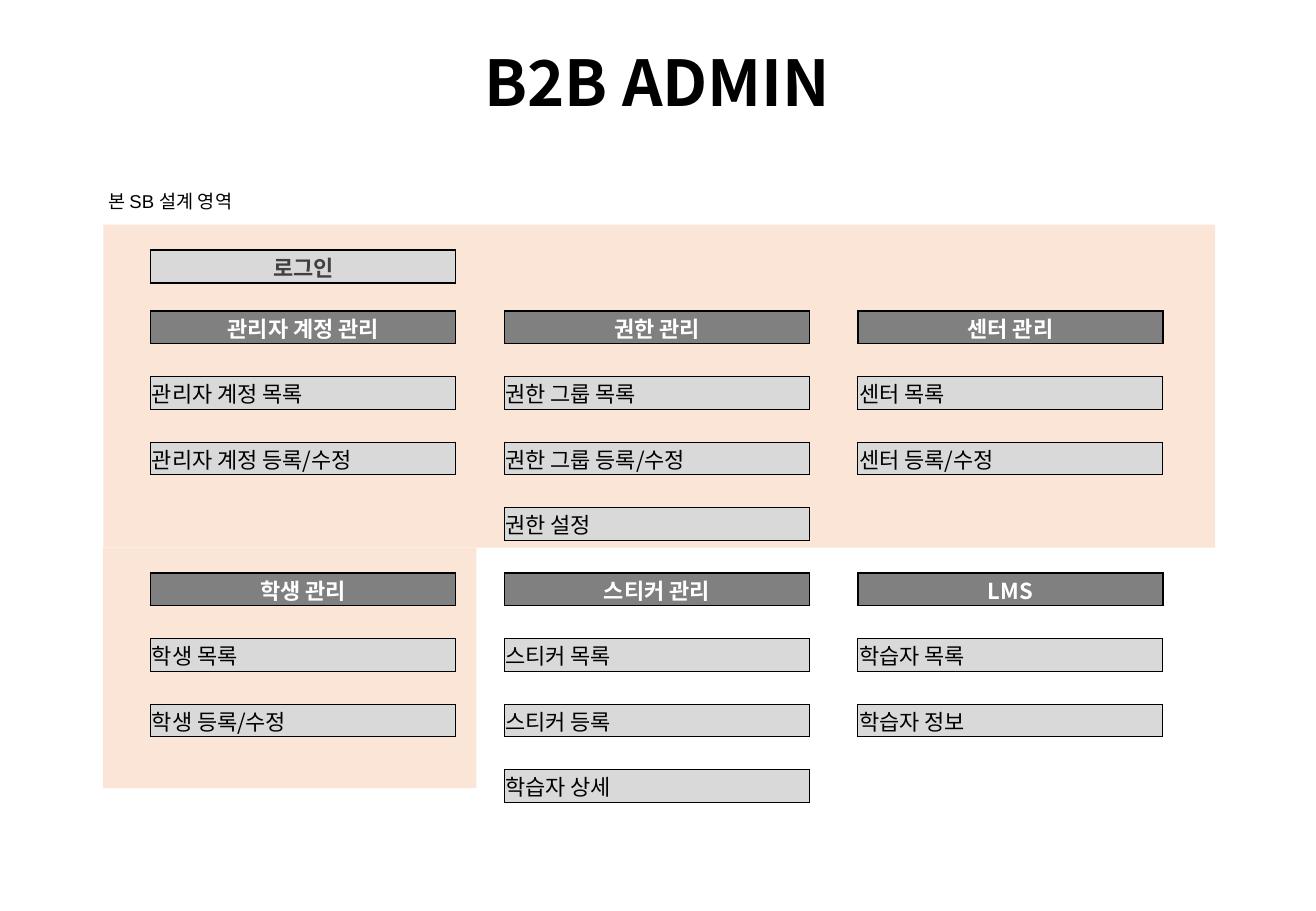
from dataclasses import dataclass

from lxml.etree import SubElement
from pptx import Presentation
from pptx.dml.color import RGBColor
from pptx.enum.shapes import MSO_SHAPE
from pptx.enum.text import MSO_ANCHOR, PP_ALIGN
from pptx.oxml.ns import qn
from pptx.util import Inches, Pt

RECT = MSO_SHAPE.RECTANGLE
MIDDLE, TOP = MSO_ANCHOR.MIDDLE, MSO_ANCHOR.TOP
LEFT, CENTER = PP_ALIGN.LEFT, PP_ALIGN.CENTER
PLAIN_TABLE = "{2D5ABB26-0587-4C30-8999-92F81FD0307C}"


@dataclass(frozen=True)
class Theme:
    font: str = "Noto Sans CJK KR"
    caption_font: str = "Arial"
    black: str = "000000"
    white: str = "FFFFFF"
    dark: str = "404040"
    header: str = "808080"
    item: str = "D9D9D9"
    area: str = "FBE5D6"
    title_size: float = 37.5
    menu_size: float = 13
    caption_size: float = 11
    gap_size: float = 6


class SlideBuilder:
    def __init__(self, slide, theme):
        self.slide = slide
        self.theme = theme

    def style(self, p, size, color, bold=False, align=LEFT, font=None):
        p.alignment = align
        p.font.size = Pt(size)
        p.font.bold = bold
        p.font.color.rgb = RGBColor.from_string(color)
        p.font.name = font or self.theme.font
        SubElement(p.font._rPr, qn("a:ea"), typeface=self.theme.font)

    def area(self, x, y, w, h):
        sp = self.slide.shapes.add_shape(RECT, Inches(x), Inches(y), Inches(w), Inches(h))
        sp.shadow.inherit = False
        sp.fill.solid()
        sp.fill.fore_color.rgb = RGBColor.from_string(self.theme.area)
        sp.line.fill.background()

    def text(self, x, y, w, h, text, size, inset, anchor, **style):
        sp = self.slide.shapes.add_textbox(Inches(x), Inches(y), Inches(w), Inches(h))
        tf = sp.text_frame
        tf.word_wrap = True
        tf.vertical_anchor = anchor
        tf.margin_left = tf.margin_right = tf.margin_top = tf.margin_bottom = Inches(inset)
        tf.text = text
        self.style(tf.paragraphs[0], size, self.theme.black, **style)

    def table(self, x, y, widths, heights):
        frame = self.slide.shapes.add_table(
            len(heights), len(widths), Inches(x), Inches(y),
            Inches(sum(widths)), Inches(sum(heights)))
        table = frame.table
        table.first_row = table.horz_banding = False
        table._tbl.tblPr.find(qn("a:tableStyleId")).text = PLAIN_TABLE
        for column, width in zip(table.columns, widths):
            column.width = Inches(width)
        for row, height in zip(table.rows, heights):
            row.height = Inches(height)
        for cell in table.iter_cells():
            cell.margin_left = cell.margin_right = cell.margin_top = Inches(0.01)
            cell.margin_bottom = 0
            cell.vertical_anchor = MIDDLE
            self.style(cell.text_frame.paragraphs[0], self.theme.gap_size, self.theme.black)
        return table

    def menu_cell(self, cell, text, fill, color, header=False):
        cell.text = text
        self.style(cell.text_frame.paragraphs[0], self.theme.menu_size, color,
                   bold=header, align=CENTER if header else LEFT)
        tcPr = cell._tc.get_or_add_tcPr()
        for side in "LRTB":
            ln = SubElement(tcPr, qn(f"a:ln{side}"), w=str(Pt(1 if header else 0.5)))
            line_fill = SubElement(ln, qn("a:solidFill"))
            SubElement(line_fill, qn("a:srgbClr"), val=self.theme.black)
        cell.fill.solid()
        cell.fill.fore_color.rgb = RGBColor.from_string(fill)


MENU_GROUPS = {
    2: [
        ["관리자 계정 관리", "관리자 계정 목록", "관리자 계정 등록/수정"],
        ["권한 관리", "권한 그룹 목록", "권한 그룹 등록/수정", "권한 설정"],
        ["센터 관리", "센터 목록", "센터 등록/수정"],
    ],
    10: [
        ["학생 관리", "학생 목록", "학생 등록/수정"],
        ["스티커 관리", "스티커 목록", "스티커 등록", "학습자 상세"],
        ["LMS", "학습자 목록", "학습자 정보"],
    ],
}


def main():
    prs = Presentation()
    prs.slide_width, prs.slide_height = Inches(10.83), Inches(7.5)
    theme = Theme()
    s = SlideBuilder(prs.slides.add_slide(prs.slide_layouts[6]), theme)

    s.area(0.85, 1.85, 9.15, 2.66)
    s.area(0.85, 4.51, 3.07, 1.98)
    s.text(1.1, 0.32, 8.62, 0.7, "B2B ADMIN", theme.title_size, 0, MIDDLE,
           bold=True, align=CENTER)

    widths = [2.51, 0.2, 0.2, 2.51, 0.2, 0.2, 2.51]
    heights = [0.27, 0.23] + [0.27] * 15
    table = s.table(1.24, 2.06, widths, heights)
    s.menu_cell(table.cell(0, 0), "로그인", theme.item, theme.dark, header=True)
    for top, groups in MENU_GROUPS.items():
        for i, (heading, *items) in enumerate(groups):
            column = 3 * i
            s.menu_cell(table.cell(top, column), heading, theme.header, theme.white, header=True)
            for j, item in enumerate(items, 1):
                s.menu_cell(table.cell(top + 2 * j, column), item, theme.item, theme.black)

    s.text(0.85, 1.52, 1.53, 0.26, "본 SB 설계 영역", theme.caption_size, 0.04, TOP,
           font=theme.caption_font)
    prs.save("out.pptx")


if __name__ == "__main__":
    main()
